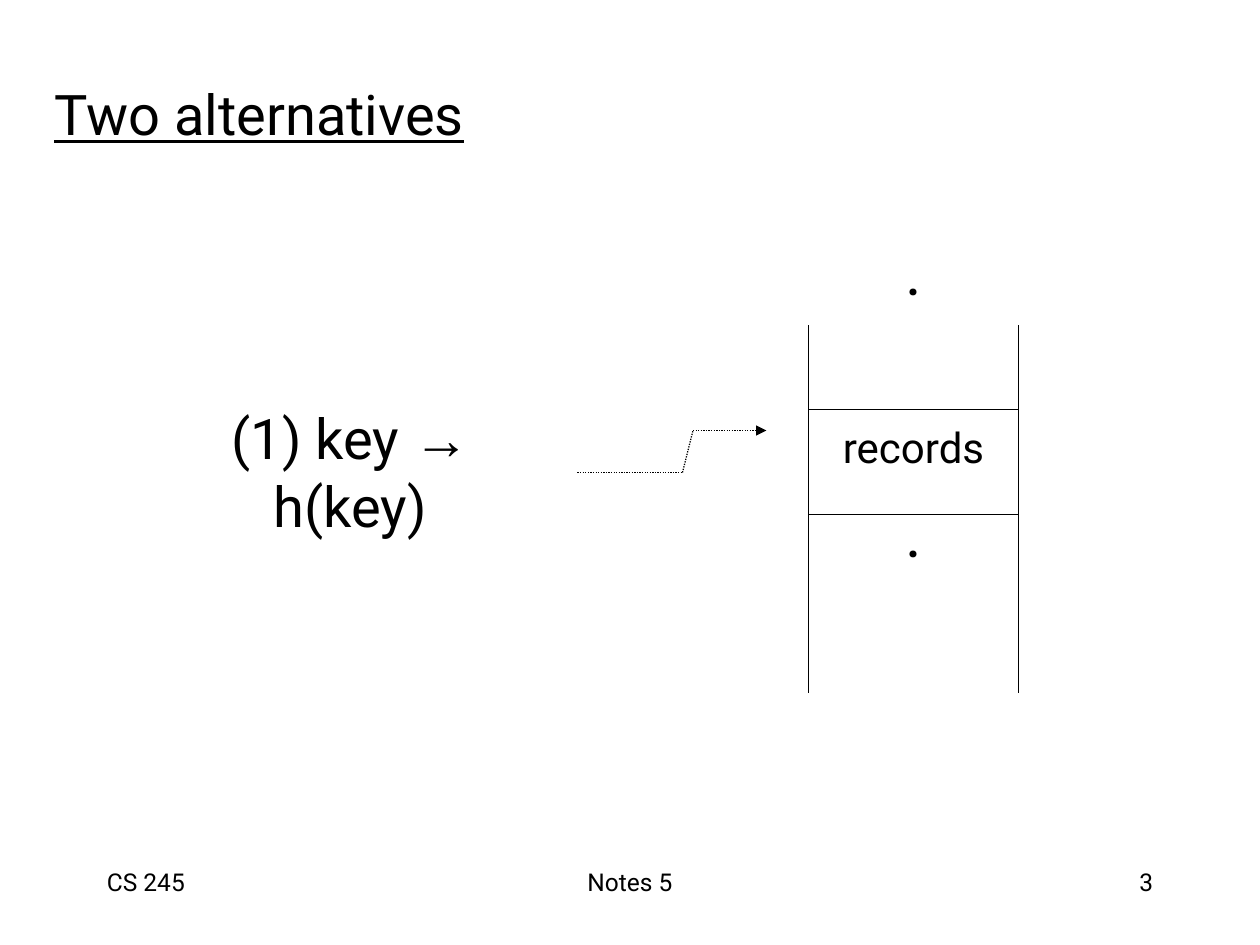
from lxml.etree import SubElement
from pptx import Presentation
from pptx.dml.color import RGBColor
from pptx.enum.dml import MSO_LINE
from pptx.enum.shapes import MSO_CONNECTOR
from pptx.enum.text import MSO_ANCHOR, MSO_AUTO_SIZE, PP_ALIGN
from pptx.oxml.ns import qn
from pptx.util import Pt

PX = 9525  # EMU per px, 96 px to the inch
BLACK = "000000"
FONT = "Roboto"


def rgb(color):
    return RGBColor.from_string(color)


def add_text(s, box, text, size, align=PP_ALIGN.LEFT, middle=False, wrap=True):
    tf = s.shapes.add_textbox(*(v * PX for v in box)).text_frame
    tf.word_wrap = wrap
    if not wrap:
        tf.auto_size = MSO_AUTO_SIZE.SHAPE_TO_FIT_TEXT
    if middle:
        tf.vertical_anchor = MSO_ANCHOR.MIDDLE
    tf.text = text
    for p in tf.paragraphs:
        p.alignment = align
        for r in p.runs:
            r.font.name, r.font.size = FONT, Pt(size)
            r.font.color.rgb = rgb(BLACK)
    return tf


def add_line(s, x1, y1, x2, y2, dotted=False, arrow=False):
    c = s.shapes.add_connector(MSO_CONNECTOR.STRAIGHT,
                               *(v * PX for v in (x1, y1, x2, y2)))
    c.line.color.rgb = rgb(BLACK)
    c.line.width = Pt(0.75)
    if dotted:
        c.line.dash_style = MSO_LINE.ROUND_DOT
    if arrow:
        SubElement(c.line._get_or_add_ln(), qn("a:tailEnd"), type="triangle")
    SubElement(c._element.spPr, qn("a:effectLst"))


def add_title(s, box):
    tf = add_text(s, box, "Two alternatives", 32)
    tf.paragraphs[0].runs[0].font.underline = True


def add_key(s, box):
    tf = add_text(s, box, "(1) key ", 32, PP_ALIGN.CENTER, middle=True)
    p = tf.paragraphs[0]
    for text, font in (("→", "Arial"), (" h(key)", FONT)):
        r = p.add_run()
        r.text = text
        r.font.name, r.font.size = font, Pt(32)
        r.font.color.rgb = rgb(BLACK)


def add_step_arrow(s, x, y, w, h):
    points = [(x, y + h), (x + 80, y + h), (x + 88, y), (x + w, y)]
    for i, (start, end) in enumerate(zip(points, points[1:])):
        add_line(s, *start, *end, dotted=True, arrow=i == 2)


def add_dots(s, box):
    tf = add_text(s, box, ".\n.\n.", 36, PP_ALIGN.CENTER, middle=True, wrap=False)
    first, *rest = tf.paragraphs
    first.line_spacing = 0.1
    for p in rest:
        p.line_spacing = Pt(0)
        p.space_before = Pt(22.5)


def add_bucket(s, x, y, w, h):
    # Open-ended column with one closed cell
    for side in (x, x + w):
        add_line(s, side, y, side, y + h)
    for edge in (y + 64, y + 144):
        add_line(s, x, edge, x + w, edge)
    add_text(s, (x + 13, y + 68, w - 26, 48), "records", 24,
             PP_ALIGN.CENTER, middle=True, wrap=False)
    # Continuation dots above and below the cell
    for top in (y - 33, y + 167):
        add_dots(s, (x + w // 2 - 16, top, 32, 76))


def add_footer(s, x, y, w, h):
    add_text(s, (x, y, 200, h), "CS 245", 14)
    add_text(s, (x + 256, y, 304, h), "Notes 5", 14, PP_ALIGN.CENTER)
    add_text(s, (x + w - 200, y, 200, h), "3", 14, PP_ALIGN.RIGHT)


def main():
    prs = Presentation()
    prs.slide_width, prs.slide_height = 960 * PX, 720 * PX
    s = prs.slides.add_slide(prs.slide_layouts[6])
    add_footer(s, 72, 656, 816, 48)
    add_step_arrow(s, 440, 328, 144, 32)
    add_title(s, (32, 56, 816, 72))
    add_bucket(s, 616, 248, 160, 280)
    add_key(s, (104, 328, 326, 62))
    prs.save("out.pptx")


if __name__ == "__main__":
    main()
